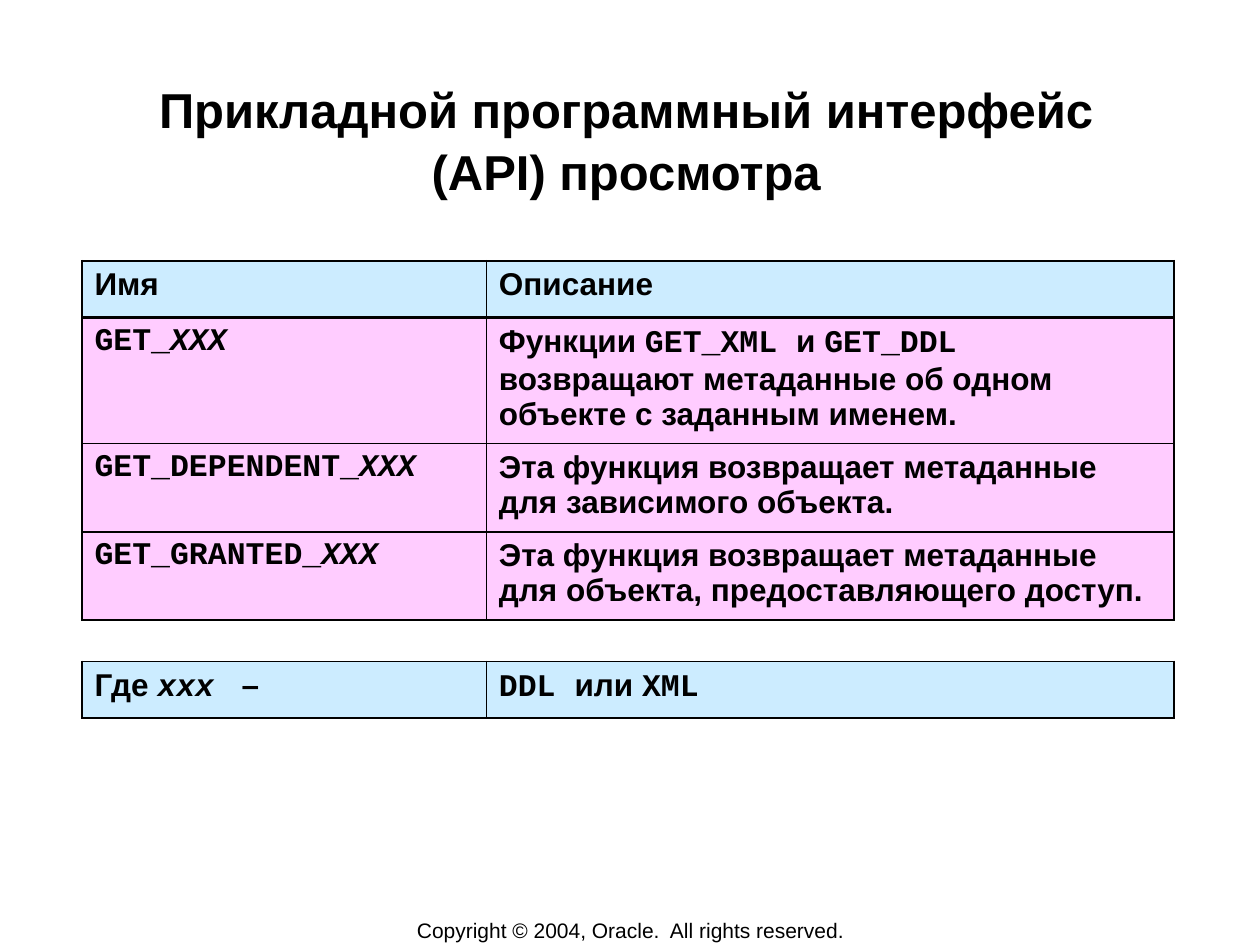
import pptx
import pptx.dml.color
import pptx.enum.text
import pptx.oxml
import pptx.oxml.ns
import pptx.util
from pptx.util import Inches

BLACK, BLUE, PINK = "000000", "CCECFF", "FFCCFF"
SANS, MONO = "Arial", "Courier New"
THIN, THICK = 1.08, 2.21


def rgb(value):
    return pptx.dml.color.RGBColor.from_string(value)


def add_runs(paragraph, runs, size, bold=True):
    """Append (text, font name, italic) runs to a paragraph."""
    for text, name, italic in runs:
        run = paragraph.add_run()
        run.text = text
        formats = {"name": name, "italic": italic, "bold": bold,
                   "size": pptx.util.Pt(size)}
        for attribute, value in formats.items():
            setattr(run.font, attribute, value)
        run.font.color.rgb = rgb(BLACK)


presentation = pptx.Presentation()
presentation.slide_width = Inches(10)
presentation.slide_height = Inches(7.5)
slide = presentation.slides.add_slide(presentation.slide_layouts[6])

# Title and copyright line
captions = [
    ("Прикладной программный интерфейс (API) просмотра",
     (0.97, 0.6, 8, 0.96), 28, True, 0.01, 0.01, 1.05,
     pptx.enum.text.MSO_ANCHOR.TOP),
    ("Copyright © 2004, Oracle.  All rights reserved.",
     (2.76, 7.28, 4.49, 0.21), 12, False, 0.1, 0.05, 1.0,
     pptx.enum.text.MSO_ANCHOR.MIDDLE),
]
for text, place, size, is_title, side, edge, spacing, anchor in captions:
    frame = slide.shapes.add_textbox(*map(Inches, place)).text_frame
    formats = {"word_wrap": is_title, "vertical_anchor": anchor,
               "margin_left": Inches(side), "margin_right": Inches(side),
               "margin_top": Inches(edge), "margin_bottom": Inches(edge)}
    for attribute, value in formats.items():
        setattr(frame, attribute, value)
    caption = frame.paragraphs[0]
    caption.alignment = pptx.enum.text.PP_ALIGN.CENTER
    caption.line_spacing = spacing
    add_runs(caption, [(text, SANS, False)], size, bold=is_title)

# Tables: each row is (height, fill, name runs, description runs)
functions = [
    (0.45, BLUE, [("Имя", SANS, False)], [("Описание", SANS, False)]),
    (1, PINK, [("GET_", MONO, False), ("XXX", MONO, True)],
     [("Функции ", SANS, False), ("GET_XML ", MONO, False),
      ("и ", SANS, False), ("GET_DDL ", MONO, False),
      ("возвращают метаданные об одном объекте с заданным именем.",
       SANS, False)]),
    (0.7, PINK, [("GET_DEPENDENT_", MONO, False), ("XXX", MONO, True)],
     [("Эта функция возвращает метаданные для зависимого объекта.",
       SANS, False)]),
    (0.7, PINK, [("GET_GRANTED_", MONO, False), ("XXX", MONO, True)],
     [("Эта функция возвращает метаданные для объекта, "
       "предоставляющего доступ.", SANS, False)]),
]
legend = [
    (0.45, BLUE,
     [("Где ", SANS, False), ("xxx ", MONO, True), (" –", SANS, False)],
     [("DDL ", MONO, False), ("или ", SANS, False), ("XML", MONO, False)]),
]
column_widths = [3.21, 5.46]

for top, rows in [(2.07, functions), (5.25, legend)]:
    table = slide.shapes.add_table(
        len(rows), len(column_widths), Inches(0.65), Inches(top),
        Inches(sum(column_widths)), Inches(sum(row[0] for row in rows))).table
    table.first_row = len(rows) > 1
    table.horz_banding = False
    for column, width in zip(table.columns, column_widths):
        column.width = Inches(width)
    for row_index, (height, fill, *contents) in enumerate(rows):
        table.rows[row_index].height = Inches(height)
        is_header = row_index == 0 and len(rows) > 1
        borders = {"lnL": THIN, "lnR": THIN,
                   "lnT": THICK if row_index == 1 else THIN,
                   "lnB": THICK if is_header else THIN}
        for column_index, runs in enumerate(contents):
            cell = table.cell(row_index, column_index)
            add_runs(cell.text_frame.paragraphs[0], runs, 18)
            properties = cell._tc.get_or_add_tcPr()
            for side, width in borders.items():
                properties.append(pptx.oxml.parse_xml(
                    f'<a:{side} {pptx.oxml.ns.nsdecls("a")} '
                    f'w="{pptx.util.Pt(width)}"><a:solidFill>'
                    f'<a:srgbClr val="{BLACK}"/></a:solidFill></a:{side}>'))
            cell.fill.solid()
            cell.fill.fore_color.rgb = rgb(fill)

presentation.save("out.pptx")
